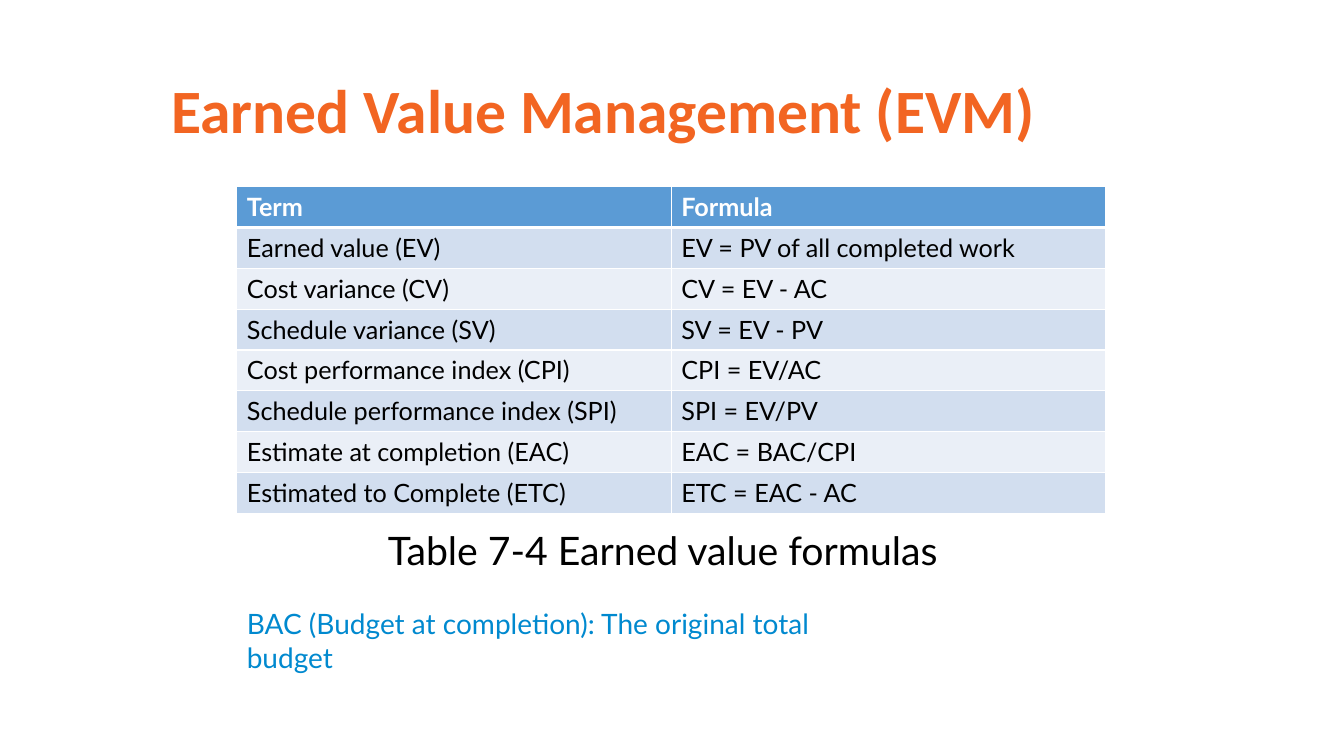
from lxml import etree
from pptx import Presentation
from pptx.dml.color import RGBColor
from pptx.enum.text import MSO_ANCHOR
from pptx.oxml.ns import qn
from pptx.util import Pt

ORANGE = RGBColor(0xF2, 0x65, 0x22)
BLUE = RGBColor(0x00, 0x89, 0xCF)
HEADER_BLUE = RGBColor(0x5B, 0x9B, 0xD5)
BAND_DARK = RGBColor(0xD2, 0xDE, 0xEF)
BAND_LIGHT = RGBColor(0xEA, 0xEF, 0xF7)
WHITE = RGBColor(0xFF, 0xFF, 0xFF)
BLACK = RGBColor(0x00, 0x00, 0x00)

FORMULAS = [
    ("Term", "Formula"),
    ("Earned value (EV)", "EV = PV of all completed work"),
    ("Cost variance (CV)", "CV = EV - AC"),
    ("Schedule variance (SV)", "SV = EV - PV"),
    ("Cost performance index (CPI)", "CPI = EV/AC"),
    ("Schedule performance index (SPI)", "SPI = EV/PV"),
    ("Estimate at completion (EAC)", "EAC = BAC/CPI"),
    ("Estimated to Complete (ETC)", "ETC = EAC - AC"),
]


def style_font(paragraph, size, color, name="Lato", bold=False):
    """Format every run of a paragraph."""
    for run in paragraph.runs:
        run.font.size = Pt(size)
        run.font.name = name
        run.font.bold = bold
        run.font.color.rgb = color


def add_text(slide, box, text, size, color, **font):
    """Place one wrapped line of text in the box and return its frame."""
    frame = slide.shapes.add_textbox(*map(Pt, box)).text_frame
    frame.word_wrap = True
    frame.text = text
    style_font(frame.paragraphs[0], size, color, **font)
    return frame


def add_title(slide, box):
    """Place the slide title, centred vertically in the box."""
    frame = add_text(slide, box, "Earned Value Management (EVM)", 44, ORANGE,
                     name="Calibri", bold=True)
    frame.vertical_anchor = MSO_ANCHOR.MIDDLE
    frame.paragraphs[0].line_spacing = 0.9


def set_borders(cell, widths):
    """Draw white cell borders with the widths given for each side."""
    properties = cell._tc.get_or_add_tcPr()
    for position, (side, width) in enumerate(widths.items()):
        line = etree.Element(qn(f"a:ln{side}"), w=str(Pt(width)))
        fill = etree.SubElement(line, qn("a:solidFill"))
        etree.SubElement(fill, qn("a:srgbClr"), val=str(WHITE))
        properties.insert(position, line)


def add_formula_table(slide, box):
    """Fill the box with the banded table of terms and formulas."""
    table = slide.shapes.add_table(len(FORMULAS), 2, *map(Pt, box)).table
    for row, entries in enumerate(FORMULAS):
        header = row == 0
        band = HEADER_BLUE if header else BAND_DARK if row % 2 else BAND_LIGHT
        for column, entry in enumerate(entries):
            cell = table.cell(row, column)
            cell.text = entry
            style_font(cell.text_frame.paragraphs[0], 18,
                       WHITE if header else BLACK, bold=header)
            cell.fill.solid()
            cell.fill.fore_color.rgb = band
            set_borders(cell, {"L": 1, "R": 1, "T": 3 if row == 1 else 1,
                               "B": 3 if header else 1})


def add_notes_below(slide, box):
    """Place the table caption and the definition of BAC in the box."""
    left, top, width, height = box
    add_text(slide, (left + 100.8, top, width, 41),
             "Table 7-4 Earned value formulas", 28, BLACK)
    add_text(slide, (left, top + 57.6, width, height - 57.6),
             "BAC (Budget at completion): The original total budget", 20, BLUE)


def main():
    """Build and save the earned value slide."""
    presentation = Presentation()
    presentation.slide_width = Pt(960)
    presentation.slide_height = Pt(540)
    slide = presentation.slides.add_slide(presentation.slide_layouts[6])
    add_title(slide, (115.2, 28.8, 828, 104.4))
    add_formula_table(slide, (169.2, 133.2, 620.6, 233.6))
    add_notes_below(slide, (169.2, 372.2, 480, 89.3))
    presentation.save("out.pptx")


if __name__ == "__main__":
    main()
